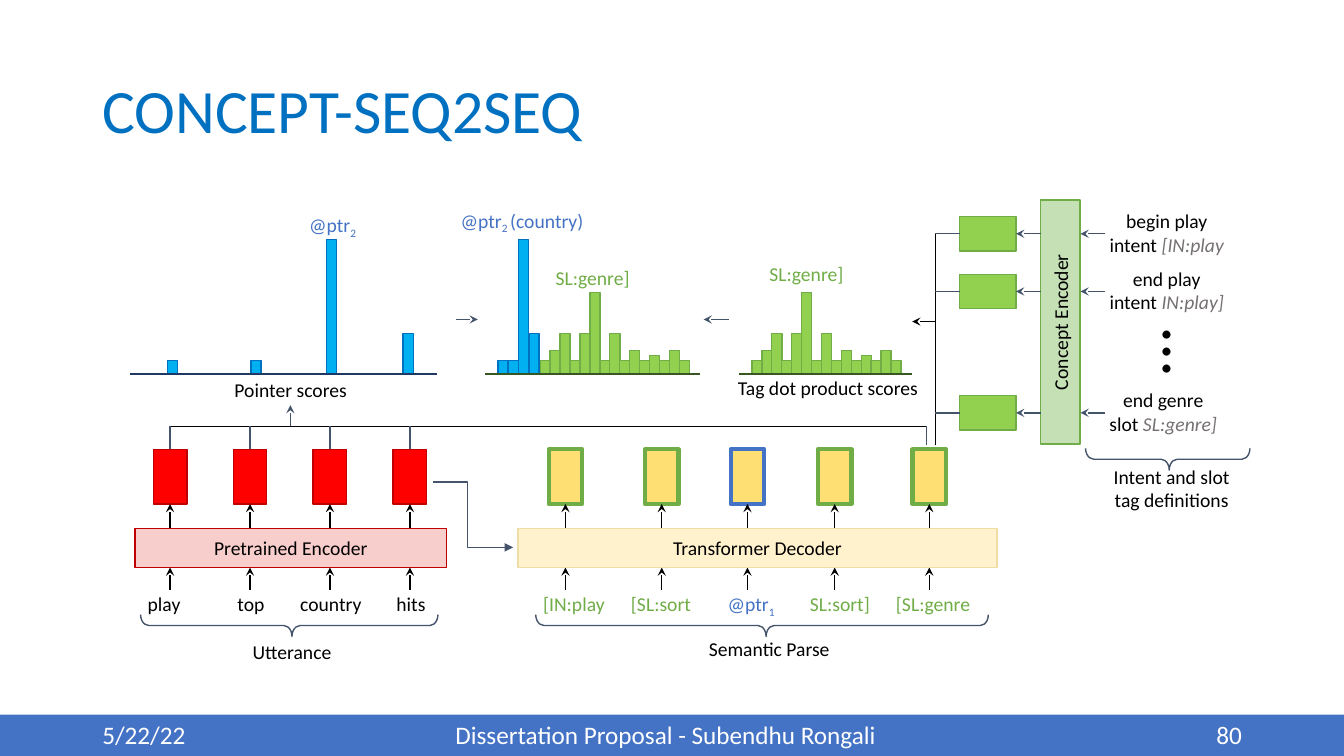
from lxml import etree
from pptx import Presentation
from pptx.dml.color import RGBColor
from pptx.enum import shapes, text
from pptx.oxml.ns import qn
from pptx.util import Pt

BLACK = RGBColor(0, 0, 0)
WHITE = RGBColor(255, 255, 255)
GREY = RGBColor(0x76, 0x71, 0x71)
SLATE = RGBColor(0x44, 0x54, 0x6A)
BLUE = RGBColor(0x44, 0x72, 0xC4)
TITLE_BLUE = RGBColor(0x00, 0x70, 0xC0)
SKY = RGBColor(0x00, 0xB0, 0xF0)
NAVY = RGBColor(0x20, 0x38, 0x64)
GREEN = RGBColor(0x70, 0xAD, 0x47)
LIME = RGBColor(0x92, 0xD0, 0x50)
PALE_GREEN = RGBColor(0xC5, 0xE0, 0xB4)
DARK_GREEN = RGBColor(0x38, 0x57, 0x23)
RED = RGBColor(255, 0, 0)
DARK_RED = RGBColor(0xC0, 0, 0)
PINK = RGBColor(0xF8, 0xCE, 0xCC)
YELLOW = RGBColor(0xFE, 0xDF, 0x73)
CREAM = RGBColor(0xFF, 0xF2, 0xCC)
SAND = RGBColor(0xF0, 0xDC, 0xA5)

RECT = shapes.MSO_SHAPE.RECTANGLE
BRACE = shapes.MSO_SHAPE.RIGHT_BRACE
LEFT, CENTER, RIGHT = text.PP_ALIGN.LEFT, text.PP_ALIGN.CENTER, text.PP_ALIGN.RIGHT
TOP, MIDDLE = text.MSO_ANCHOR.TOP, text.MSO_ANCHOR.MIDDLE

prs = Presentation()
prs.slide_width, prs.slide_height = Pt(960), Pt(540)
s = prs.slides.add_slide(prs.slide_layouts[6])


def add_box(x, y, w, h, words="", kind=None, fill=None, line=None, weight=1, rot=0,
            size=14, color=BLACK, align=CENTER, anchor=TOP, spacing=None):
    """Add a text box, or a shape of the given kind. In words, _ starts a subscript
    up to the next blank or the end, and / starts grey italics up to the line's end."""
    frame = Pt(x), Pt(y), Pt(w), Pt(h)
    if kind is None:
        sp = s.shapes.add_textbox(*frame)
    else:
        sp = s.shapes.add_shape(kind, *frame)
        sp.shadow.inherit = False
        if fill is None:
            sp.fill.background()
        else:
            sp.fill.solid()
            sp.fill.fore_color.rgb = fill
        if line is None:
            sp.line.fill.background()
        else:
            sp.line.color.rgb = line
            sp.line.width = Pt(weight)
    sp.rotation = rot
    tf = sp.text_frame
    tf.word_wrap = align != CENTER
    tf.vertical_anchor = anchor
    for i, row in enumerate(words.split("\n") if words else []):
        p = tf.add_paragraph() if i else tf.paragraphs[0]
        p.alignment = align
        p.line_spacing = spacing
        plain, _, italic = row.partition("|")
        plain, _, tail = plain.partition("_")
        sub, blank, rest = tail.partition(" ")
        for part, style in ((plain, ""), (sub + blank, "sub"), (rest, ""), (italic, "i")):
            if part:
                r = p.add_run()
                r.text = part
                r.font.name, r.font.size = "Calibri", Pt(size)
                r.font.color.rgb = GREY if style == "i" else color
                if style == "i":
                    r.font.italic = True
                if style == "sub":
                    r.font._element.set("baseline", "-25000")
    return sp


def add_line(x1, y1, x2, y2, color=SLATE, arrow=None, kind=shapes.MSO_CONNECTOR.STRAIGHT):
    c = s.shapes.add_connector(kind, Pt(x1), Pt(y1), Pt(x2), Pt(y2))
    c.line.color.rgb = color
    c.line.width = Pt(1)
    if arrow:
        etree.SubElement(c.line._get_or_add_ln(), qn("a:tailEnd"), type=arrow)
    etree.SubElement(c._element.spPr, qn("a:effectLst"))
    return c


# Title and footer
add_box(66, 28.8, 828, 104.4, "CONCEPT-SEQ2SEQ", size=44, color=TITLE_BLUE,
        align=LEFT, anchor=MIDDLE, spacing=0.9)
add_box(0, 510.5, 960, 29.5, kind=RECT, fill=BLUE)
for x, w, words, align in [(66, 216, "5/22/22", LEFT),
                           (318.2, 324, "Dissertation Proposal - Subendhu Rongali", LEFT),
                           (678.2, 216, "80", RIGHT)]:
    add_box(x, 510.5, w, 28.8, words, size=18, color=WHITE, align=align)

# Bar charts: left edge of each bar, heights, colours
BASE, LOW, SHORT, MID, TALL = 267.1, 9.4, 16.6, 28.8, 95.8
tag_heights = [LOW, SHORT, MID, LOW, MID, 58.3, LOW, MID, LOW, SHORT, LOW, 13, LOW, SHORT, LOW]
for lefts, heights, fill, edge in [
        ([119.5, 179.3, 233.3, 288], [LOW, LOW, TALL, MID], SKY, TITLE_BLUE),
        ([385.9 + 7.1 * i for i in range(15)], tag_heights, LIME, GREEN),
        ([355.7 + 7.4 * i for i in range(4)], [LOW, LOW, TALL, MID], SKY, TITLE_BLUE),
        ([537.1 + 7.1 * i for i in range(15)], tag_heights, LIME, GREEN)]:
    for x, h in zip(lefts, heights):
        add_box(x, BASE - h, 7.2, h, kind=RECT, fill=fill, line=edge)
for x1, x2, color in [(92.9, 312.5, NAVY), (346.3, 499.7, DARK_GREEN), (527.8, 651.6, DARK_GREEN)]:
    add_line(x1, BASE, x2, BASE, color)
add_line(325.4, 228.2, 341.3, 228.2, arrow="stealth")
add_line(520.6, 228.2, 502.6, 228.2, arrow="stealth")

for x, y, w, words, color in [
        (213.1, 148.3, 49, "@ptr_2", BLUE),
        (320, 145.4, 105.8, "@ptr_2 (country)", BLUE),
        (389.5, 186.5, 67.7, "SL:genre]", GREEN),
        (542.2, 183.6, 67.7, "SL:genre]", GREEN),
        (159.8, 266.4, 95.8, "Pointer scores", BLACK),
        (519.1, 265, 144.7, "Tag dot product scores", BLACK),
        (172.6, 453.6, 72, "Utterance", BLACK),
        (498.7, 451.4, 101.5, "Semantic Parse", BLACK),
        (786.2, 328.3, 101.5, "Intent and slot\ntag definitions", BLACK)]:
    add_box(x, y, w, 24.5, words, color=color)

# Bus from the decoder state to the pointer scores, and spine of the concepts
BUS, SPINE = 304.6, 668.2
add_line(661.7, BUS, 121.5, BUS, BLACK)
add_line(661.7, BUS, 661.7, 318.2)
add_line(207.4, BUS, 207.4, 289.4, arrow="stealth")
add_line(SPINE, 318.2, SPINE, 166.3, BLACK)
add_line(SPINE, 229.7, 651.6, 229.7, BLACK, "stealth")

# Encoder and decoder: state centre, outline, word centre, word, word colour
LAYER = 377.3
encoder_states = [(121.5 + 57.1 * i, DARK_RED, cx, word, BLACK) for i, (cx, word) in enumerate(
    [(117.2, "play"), (179.3, "top"), (236.4, "country"), (293.6, "hits")])]
decoder_states = [(403.9, GREEN, 410, "[IN:play", GREEN),
                  (472.7, GREEN, 472.2, "[SL:sort", GREEN),
                  (533.9, BLUE, 536.5, "@ptr_1", BLUE),
                  (596.2, GREEN, 600, "SL:sort]", GREEN),
                  (663.8, GREEN, 666.5, "[SL:genre", GREEN)]
for states, fill, weight in [(encoder_states, RED, 1), (decoder_states, YELLOW, 3)]:
    for cx, edge, word_cx, word, color in states:
        state = add_box(cx - 12, 321, 24, 39, kind=RECT, fill=fill, line=edge, weight=weight)
        if fill == RED:
            add_line(cx, BUS, cx, 321).end_connect(state, 0)
        add_line(cx, LAYER, cx, 360, BLACK, "stealth").end_connect(state, 2)
        add_line(cx, 421.2, cx, 405.4, BLACK, "stealth")
        add_box(word_cx - 36, 419.5, 72, 24.5, word, color=color)
for x, w, words, fill, edge in [(96.5, 222.5, "Pretrained Encoder", PINK, DARK_RED),
                                (370.1, 342, "Transformer Decoder", CREAM, SAND)]:
    add_box(x, LAYER, w, 28.1, words, RECT, fill, edge, anchor=MIDDLE)

elbow = add_line(309.6, 344.2, 366.5, 391, arrow="triangle", kind=shapes.MSO_CONNECTOR.ELBOW)
bends = elbow._element.spPr.find(qn("a:prstGeom")).get_or_add_avLst()
etree.SubElement(bends, qn("a:gd"), name="adj1", fmla="val 43000")

# Concept encoder with its tag definitions
add_box(670.3, 216, 174.2, 28.1, "Concept Encoder", RECT, PALE_GREEN, GREEN,
        rot=270, anchor=MIDDLE)
for y, w, words in [(167, 97.2, "begin play\nintent |[IN:play"),
                    (208.2, 97.2, "end play\nintent |IN:play]"),
                    (294.9, 92.2, "end genre\nslot |SL:genre]")]:
    concept = add_box(685.4, y - 12.2, 40.4, 24.4, kind=RECT, fill=LIME, line=GREEN)
    add_line(SPINE, y, 685.4, y).end_connect(concept, 1)
    add_line(743.4, y, 725.8, y, arrow="stealth").end_connect(concept, 3)
    add_line(789.1, y, 771.8, y, arrow="stealth")
    add_box(784.8, y - 21.3, w, 41, words)
add_box(792, 218.9, 51.1, 65.5, "...", size=48, rot=270)

# Braces: centre and span
for cx, cy, span in [(834.1, 328, 117.4), (206.6, 446.8, 212.4), (544.3, 446.8, 323.3)]:
    brace = add_box(cx - 7.75, cy - span / 2, 15.5, span, kind=BRACE, line=SLATE, rot=90)
    brace.adjustments[0], brace.adjustments[1] = 0.375, 0.491

prs.save("out.pptx")
